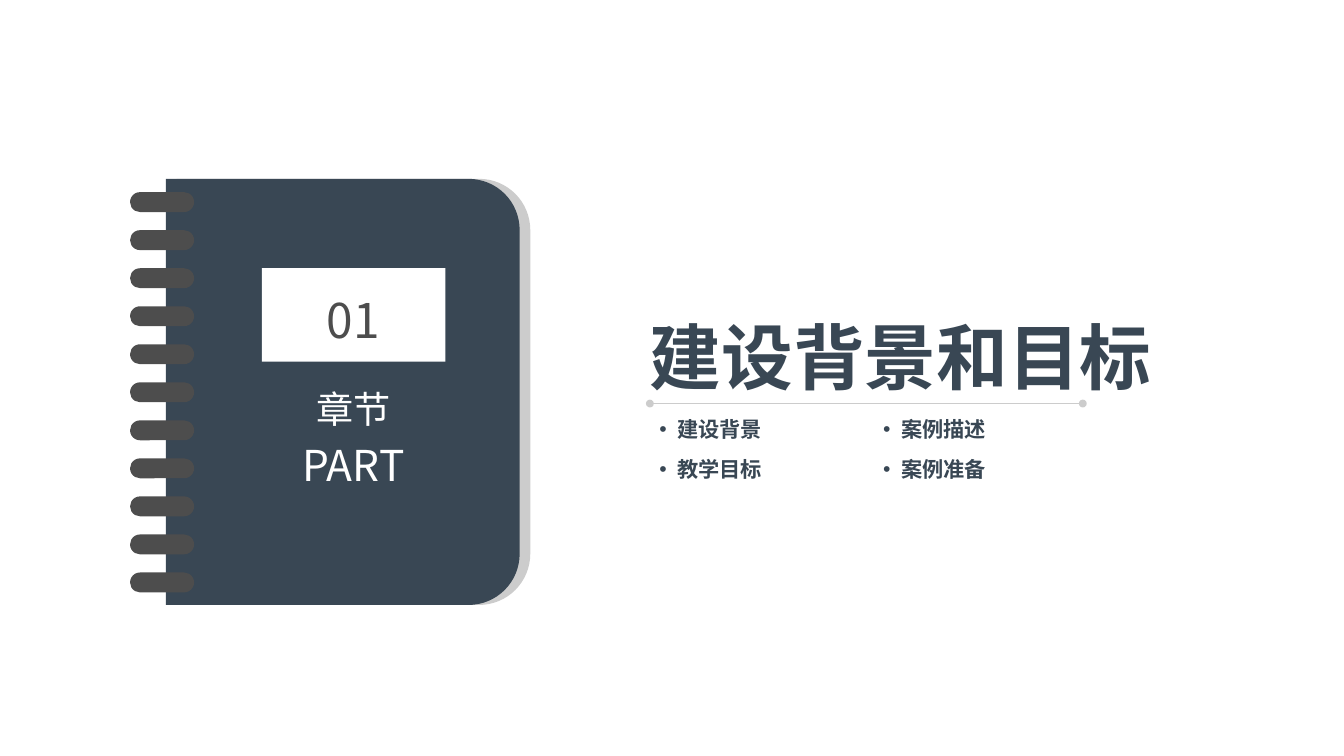
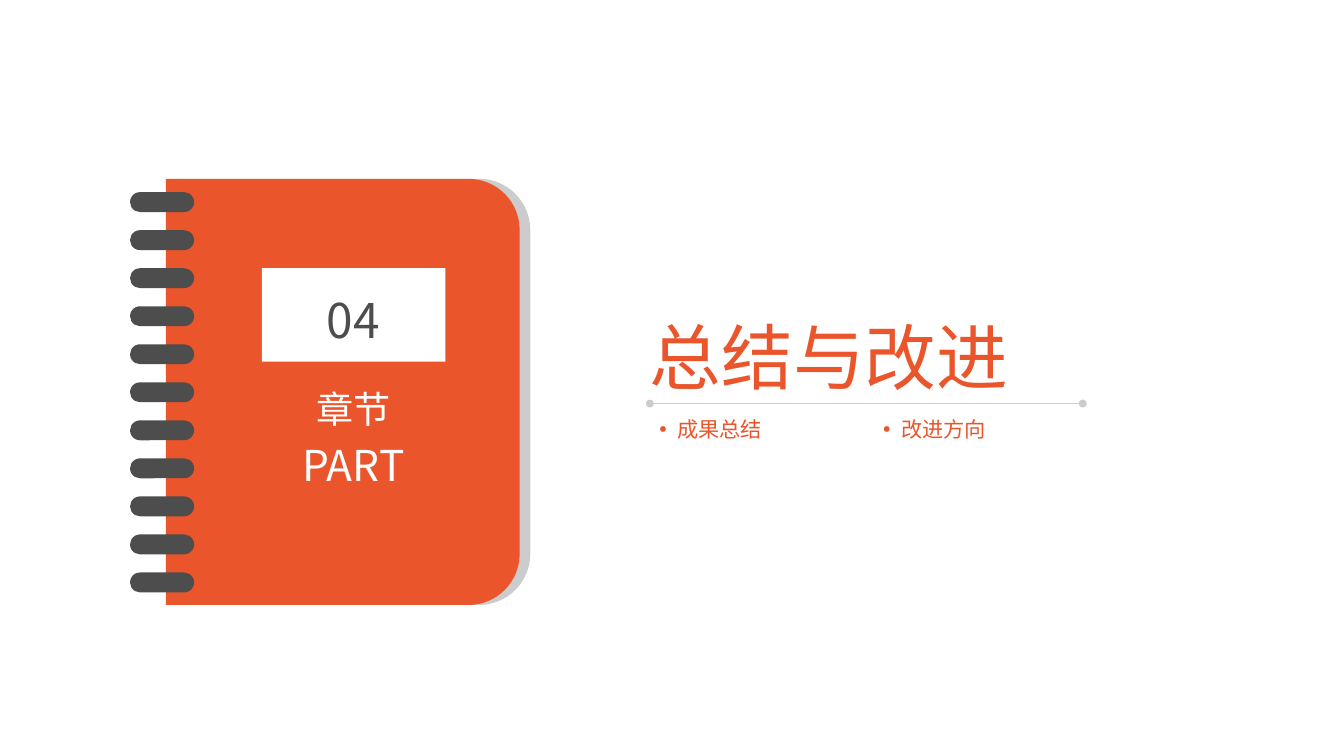
import math
from dataclasses import dataclass

from lxml import etree
from pptx import Presentation
from pptx.dml.color import RGBColor
from pptx.enum.shapes import MSO_CONNECTOR, MSO_SHAPE
from pptx.enum.text import MSO_ANCHOR, MSO_AUTO_SIZE, PP_ALIGN
from pptx.oxml.ns import qn
from pptx.util import Pt

RECTANGLE = MSO_SHAPE.RECTANGLE
ROUNDED = MSO_SHAPE.ROUNDED_RECTANGLE
STRAIGHT = MSO_CONNECTOR.STRAIGHT
TOP = MSO_ANCHOR.TOP
NO_AUTOFIT = MSO_AUTO_SIZE.NONE
LEFT = PP_ALIGN.LEFT
CENTER = PP_ALIGN.CENTER

# Shared look
SLATE = RGBColor(0x39, 0x47, 0x54)
ORANGE = RGBColor(0xEA, 0x55, 0x2B)
SILVER = RGBColor(0xCC, 0xCC, 0xCC)
CHARCOAL = RGBColor(0x4D, 0x4D, 0x4D)
WHITE = RGBColor(0xFF, 0xFF, 0xFF)
LATIN_FONT = "Arial"
CJK_FONT = "Noto Sans CJK SC"
SLIDE_WIDTH, SLIDE_HEIGHT = 1012.5, 569.5
TWO_CONTENT_LAYOUT = 3

# Notebook geometry
COVER_TOP, COVER_WIDTH, COVER_HEIGHT = 134.75, 266.5, 321
COVER_LEFT, BACK_COVER_LEFT = 125, 133
COVER_RADIUS, CORNER_STEPS = 38.5, 16
RING_COUNT, RING_PITCH = 11, 28.65

# Heading geometry
HEADING_LEFT, RULE_RIGHT, RULE_Y = 489.6, 815.75, 304
TOPIC_COLUMN_PITCH = 168.5
TOPIC_INDENT = 13.5


@dataclass(frozen=True)
class Box:
    left: float
    top: float
    width: float
    height: float


@dataclass(frozen=True)
class TextStyle:
    size: float
    color: RGBColor
    font: str = LATIN_FONT
    bold: bool = False


@dataclass(frozen=True)
class Line:
    text: str
    style: TextStyle
    space_before: float = 0
    space_after: float = 0


@dataclass(frozen=True)
class Chapter:
    number: str
    title: str
    topic_columns: tuple[tuple[str, ...], ...]
    color: RGBColor
    bold: bool


CHAPTERS = (
    Chapter("01", "建设背景和目标",
            (("建设背景", "教学目标"), ("案例描述", "案例准备")), SLATE, True),
    Chapter("04", "总结与改进",
            (("成果总结",), ("改进方向",)), ORANGE, False),
)


def set_attributes(target, values: dict) -> None:
    for name, value in values.items():
        setattr(target, name, value)


def place(shape, box: Box) -> None:
    set_attributes(shape, {
        "left": Pt(box.left), "top": Pt(box.top),
        "width": Pt(box.width), "height": Pt(box.height),
    })


def paint(shape, color: RGBColor) -> None:
    shape.shadow.inherit = False
    shape.fill.solid()
    shape.fill.fore_color.rgb = color
    shape.line.fill.background()


def write_lines(shape, lines: list[Line], align=LEFT,
                side_inset: float = 0, edge_inset: float = 0) -> None:
    frame = shape.text_frame
    set_attributes(frame, {
        "auto_size": NO_AUTOFIT, "word_wrap": True, "vertical_anchor": TOP,
        "margin_left": Pt(side_inset), "margin_right": Pt(side_inset),
        "margin_top": Pt(edge_inset), "margin_bottom": Pt(edge_inset),
    })
    for index, line in enumerate(lines):
        paragraph = frame.add_paragraph() if index else frame.paragraphs[0]
        set_attributes(paragraph, {
            "alignment": align, "line_spacing": 1.0,
            "space_before": Pt(line.space_before),
            "space_after": Pt(line.space_after),
        })
        run = paragraph.add_run()
        run.text = line.text
        set_attributes(run.font, {
            "name": line.style.font, "size": Pt(line.style.size),
            "bold": line.style.bold,
        })
        run.font.color.rgb = line.style.color
        east_asian = etree.SubElement(run.font._element, qn("a:ea"))
        east_asian.set("typeface", CJK_FONT)


def add_bullets(shape) -> None:
    for paragraph in shape.text_frame.paragraphs:
        properties = paragraph._p.get_or_add_pPr()
        properties.set("marL", str(Pt(TOPIC_INDENT)))
        properties.set("indent", str(-Pt(TOPIC_INDENT)))
        bullet_font = etree.SubElement(properties, qn("a:buFont"))
        bullet_font.set("typeface", LATIN_FONT)
        bullet = etree.SubElement(properties, qn("a:buChar"))
        bullet.set("char", "•")


def add_cover(shapes, left: float, color: RGBColor) -> None:
    """Draw a sheet that is square on the left and rounded on the right."""
    bottom = COVER_TOP + COVER_HEIGHT
    center_x = left + COVER_WIDTH - COVER_RADIUS
    corners = ((COVER_TOP + COVER_RADIUS, -90), (bottom - COVER_RADIUS, 0))
    outline = []
    for center_y, start in corners:
        for step in range(CORNER_STEPS + 1):
            angle = math.radians(start + 90 * step / CORNER_STEPS)
            outline.append((Pt(center_x + COVER_RADIUS * math.cos(angle)),
                            Pt(center_y + COVER_RADIUS * math.sin(angle))))
    outline.append((Pt(left), Pt(bottom)))
    builder = shapes.build_freeform(Pt(left), Pt(COVER_TOP), scale=1.0)
    builder.add_line_segments(outline, close=True)
    paint(builder.convert_to_shape(), color)


def add_block(shapes, preset, box: Box, color: RGBColor):
    block = shapes.add_shape(preset, Pt(box.left), Pt(box.top),
                             Pt(box.width), Pt(box.height))
    paint(block, color)
    return block


def add_label(shapes, box: Box, lines: list[Line]) -> None:
    label = shapes.add_textbox(Pt(box.left), Pt(box.top),
                               Pt(box.width), Pt(box.height))
    write_lines(label, lines, CENTER)


def add_notebook(slide, chapter: Chapter) -> None:
    shapes = slide.shapes.add_group_shape().shapes
    # Covers and number plate
    add_cover(shapes, BACK_COVER_LEFT, SILVER)
    add_cover(shapes, COVER_LEFT, chapter.color)
    add_block(shapes, RECTANGLE, Box(197.25, 202, 138.25, 70.5), WHITE)
    # Spiral binding
    for index in range(RING_COUNT):
        ring_box = Box(98, 144.75 + index * RING_PITCH, 48.25, 15)
        ring = add_block(shapes, ROUNDED, ring_box, CHARCOAL)
        ring.adjustments[0] = 0.5
    # Number and caption
    add_label(shapes, Box(201, 219, 130.25, 44),
              [Line(chapter.number, TextStyle(36, CHARCOAL, CJK_FONT))])
    add_label(shapes, Box(211.5, 291, 109.5, 80.5), [
        Line("章节", TextStyle(28, WHITE, CJK_FONT)),
        Line("PART", TextStyle(32, WHITE, CJK_FONT), space_before=6.4),
    ])


def add_rule(slide) -> None:
    rule = slide.shapes.add_connector(STRAIGHT, Pt(HEADING_LEFT), Pt(RULE_Y),
                                      Pt(RULE_RIGHT), Pt(RULE_Y))
    rule.line.color.rgb = SILVER
    rule.line.width = Pt(1)
    stroke = rule.line._get_or_add_ln()
    for end in ("a:headEnd", "a:tailEnd"):
        etree.SubElement(stroke, qn(end)).set("type", "oval")
    etree.SubElement(rule._element.spPr, qn("a:effectLst"))


def add_heading(slide, chapter: Chapter) -> None:
    title = slide.shapes.title
    place(title, Box(HEADING_LEFT, 235.5, 380, 65.5))
    title_style = TextStyle(54, chapter.color, bold=chapter.bold)
    write_lines(title, [Line(chapter.title, title_style)])
    add_rule(slide)
    # One body placeholder for each column of topics
    topic_style = TextStyle(16, chapter.color, bold=chapter.bold)
    for index, topics in enumerate(chapter.topic_columns):
        column = slide.placeholders[index + 1]
        place(column, Box(HEADING_LEFT + index * TOPIC_COLUMN_PITCH, 310.25,
                          100, 26.5 + 29.5 * (len(topics) - 1)))
        write_lines(column,
                    [Line(topic, topic_style, space_after=11)
                     for topic in topics],
                    side_inset=7.2, edge_inset=3.6)
        add_bullets(column)


def main() -> None:
    deck = Presentation()
    deck.slide_width, deck.slide_height = Pt(SLIDE_WIDTH), Pt(SLIDE_HEIGHT)
    for chapter in CHAPTERS:
        slide = deck.slides.add_slide(deck.slide_layouts[TWO_CONTENT_LAYOUT])
        add_heading(slide, chapter)
        add_notebook(slide, chapter)
    deck.save("out.pptx")


if __name__ == "__main__":
    main()
